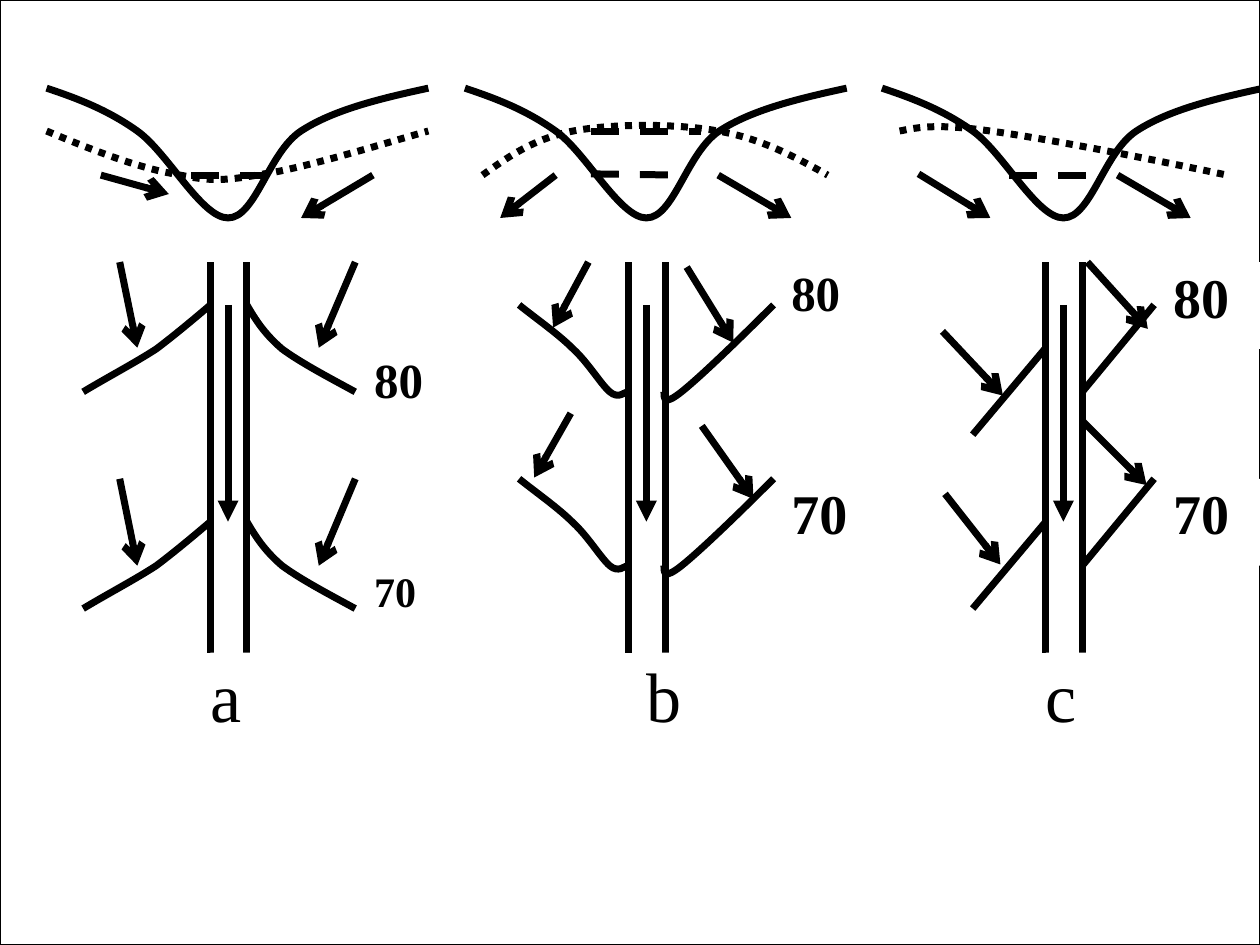
from dataclasses import dataclass

from lxml import etree
from pptx import Presentation
from pptx import util as u
from pptx.dml.color import RGBColor
from pptx.enum import dml, shapes, text
from pptx.oxml.ns import qn

PX = u.Inches(1) // 100
Point = tuple[int, int]
Segment = tuple[int, int, int, int]


@dataclass(frozen=True)
class Theme:
    ink: RGBColor = RGBColor(0, 0, 0)
    paper: RGBColor = RGBColor(255, 255, 255)
    font: str = "Times New Roman"
    stroke: float = 4
    frame: float = 0.75
    small: int = 24
    medium: int = 28
    large: int = 32
    caption: int = 40


THEME = Theme()


@dataclass(frozen=True)
class Level:
    value: str
    left: int
    top: int
    size: int


@dataclass(frozen=True)
class Panel:
    """One river case; shift moves the parts shared by all cases."""
    letter: str
    letter_left: int
    shift: int
    water_table: list[Point]
    water_levels: list[Segment]
    seepage: list[Segment]
    contours: list[list[Point]]
    contour_step: int
    flows: list[Segment]
    levels: list[Level]


VALLEY = [(37, 70), (61, 78), (85, 87), (109, 104), (133, 121), (160, 173), (181, 173),
          (203, 173), (213, 121), (239, 104), (265, 87), (303, 78), (340, 70)]
BANKS = (167, 196)
BANK_TOP, BANK_BOTTOM = 208, 518
STREAM = (181, 242, 181, 414)

PANELS = [
    Panel(
        "a", 167, 0,
        water_table=[(37, 104), (73, 119), (109, 133), (138, 138), (167, 144),
                     (176, 144), (210, 138), (244, 133), (318, 110), (340, 104)],
        water_levels=[(152, 139, 210, 139)],
        seepage=[(296, 139, 239, 173), (80, 139, 134, 154)],
        contours=[[(66, 311), (86, 299), (107, 288), (124, 277), (140, 265), (160, 248), (167, 242)],
                  [(196, 242), (203, 254), (210, 265), (224, 277), (239, 288), (260, 299), (282, 311)]],
        contour_step=172,
        flows=[(95, 208, 109, 276), (95, 380, 109, 449), (282, 208, 253, 276), (282, 380, 253, 449)],
        levels=[Level("80", 297, 277, THEME.medium), Level("70", 297, 449, THEME.small)],
    ),
    Panel(
        "b", 513, 332,
        water_table=[(383, 139), (404, 124), (424, 110), (455, 104), (486, 98),
                     (537, 98), (570, 104), (604, 110), (630, 124), (657, 139)],
        water_levels=[(469, 138, 541, 139), (469, 104, 556, 104)],
        seepage=[(441, 139, 397, 173), (570, 139, 628, 173)],
        contours=[[(412, 242), (427, 254), (443, 265), (455, 277), (467, 288), (477, 305), (484, 311),
                   (491, 317), (496, 311), (498, 311)],
                  [(527, 311), (527, 317), (527, 322), (541, 311), (556, 299), (585, 271), (614, 242)]],
        contour_step=138,
        flows=[(545, 212, 582, 272), (557, 338, 598, 396), (467, 208, 439, 260), (453, 328, 424, 379)],
        levels=[Level("80", 628, 208, THEME.medium), Level("70", 628, 380, THEME.large)],
    ),
    Panel(
        "c", 830, 663,
        water_table=[(714, 104), (729, 101), (743, 98), (786, 104), (830, 110), (902, 124), (974, 139)],
        water_levels=[(801, 139, 873, 139)],
        seepage=[(887, 139, 945, 173), (729, 138, 786, 173)],
        contours=[[(772, 345), (830, 276)], [(859, 311), (916, 242)]],
        contour_step=138,
        flows=[(748, 263, 796, 314), (750, 392, 794, 448), (860, 335, 910, 385), (863, 208, 911, 261)],
        levels=[Level("80", 931, 208, THEME.large), Level("70", 931, 380, THEME.large)],
    ),
]


def moved(points: list[Point], dx: int = 0, dy: int = 0) -> list[Point]:
    return [(x + dx, y + dy) for x, y in points]


def style_stroke(line, dash=None) -> None:
    line.color.rgb = THEME.ink
    line.width = u.Pt(THEME.stroke)
    if dash is not None:
        line.dash_style = dash


def draw_line(group, segment: Segment, dash=None, head: str = ""):
    line = group.shapes.add_connector(shapes.MSO_CONNECTOR.STRAIGHT, *(v * PX for v in segment))
    style_stroke(line.line, dash)
    properties = line._element.spPr
    if head:
        etree.SubElement(properties.find(qn("a:ln")), qn("a:tailEnd"), type=head)
    etree.SubElement(properties, qn("a:effectLst"))
    return line


def draw_curve(group, points: list[Point], dash=None) -> None:
    """Draw a start point followed by cubic triples (control, control, end)."""
    builder = group.shapes.build_freeform(*points[0], scale=PX)
    builder.add_line_segments(points[1:], close=False)
    curve = builder.convert_to_shape()
    curve.shadow.inherit = False
    curve.fill.background()
    style_stroke(curve.line, dash)
    steps = list(curve._element.iter(qn("a:lnTo")))
    for first in range(0, len(steps), 3):
        bezier = etree.Element(qn("a:cubicBezTo"))
        steps[first].addprevious(bezier)
        for step in steps[first:first + 3]:
            bezier.append(step[0])
            step.getparent().remove(step)


def draw_box(parent, left: int, top: int, width: int, height: int):
    box = parent.shapes.add_shape(shapes.MSO_SHAPE.RECTANGLE,
                                  *(v * PX for v in (left, top, width, height)))
    box.shadow.inherit = False
    box.fill.solid()
    box.fill.fore_color.rgb = THEME.paper
    box.line.fill.background()
    return box


def write(box, wording: str, *, size: int, bold: bool = False) -> None:
    frame = box.text_frame
    frame.word_wrap = True
    frame.vertical_anchor = text.MSO_ANCHOR.TOP
    frame.margin_left = frame.margin_right = frame.margin_top = frame.margin_bottom = 0
    paragraph = frame.paragraphs[0]
    paragraph.alignment = text.PP_ALIGN.JUSTIFY
    run = paragraph.add_run()
    run.text = wording
    run.font.name, run.font.size, run.font.bold = THEME.font, u.Pt(size), bold
    run.font.color.rgb = THEME.ink


def draw_panel(group, panel: Panel) -> None:
    draw_curve(group, moved(VALLEY, panel.shift))
    draw_curve(group, panel.water_table, dml.MSO_LINE.ROUND_DOT)
    for level in panel.water_levels:
        draw_line(group, level, dml.MSO_LINE.DASH)
    for arrow in panel.seepage + panel.flows:
        draw_line(group, arrow, head="arrow")
    banks = [draw_line(group, (x + panel.shift, BANK_TOP, x + panel.shift, BANK_BOTTOM)) for x in BANKS]
    x1, y1, x2, y2 = STREAM
    draw_line(group, (x1 + panel.shift, y1, x2 + panel.shift, y2), head="triangle")
    for contour in panel.contours:
        for drop in (0, panel.contour_step):
            points = moved(contour, dy=drop)
            if len(points) == 2:
                draw_line(group, points[0] + points[1])
            else:
                draw_curve(group, points)
    for level in panel.levels:
        write(draw_box(group, level.left, level.top, 72, 69), level.value, size=level.size, bold=True)
    caption = draw_box(group, panel.letter_left, BANK_BOTTOM, 58, 69)
    write(caption, panel.letter, size=THEME.caption)
    if banks[1].end_x == caption.left + caption.width // 2:
        banks[1].end_connect(caption, 0)


def main() -> None:
    deck = Presentation()
    deck.slide_width, deck.slide_height = 1000 * PX, 750 * PX
    slide = deck.slides.add_slide(deck.slide_layouts[6])
    border = draw_box(slide, 0, 0, 1000, 750)
    border.line.color.rgb = THEME.ink
    border.line.width = u.Pt(THEME.frame)
    diagram = slide.shapes.add_group_shape()
    for panel in PANELS:
        draw_panel(diagram, panel)
    deck.save("out.pptx")


if __name__ == "__main__":
    main()
